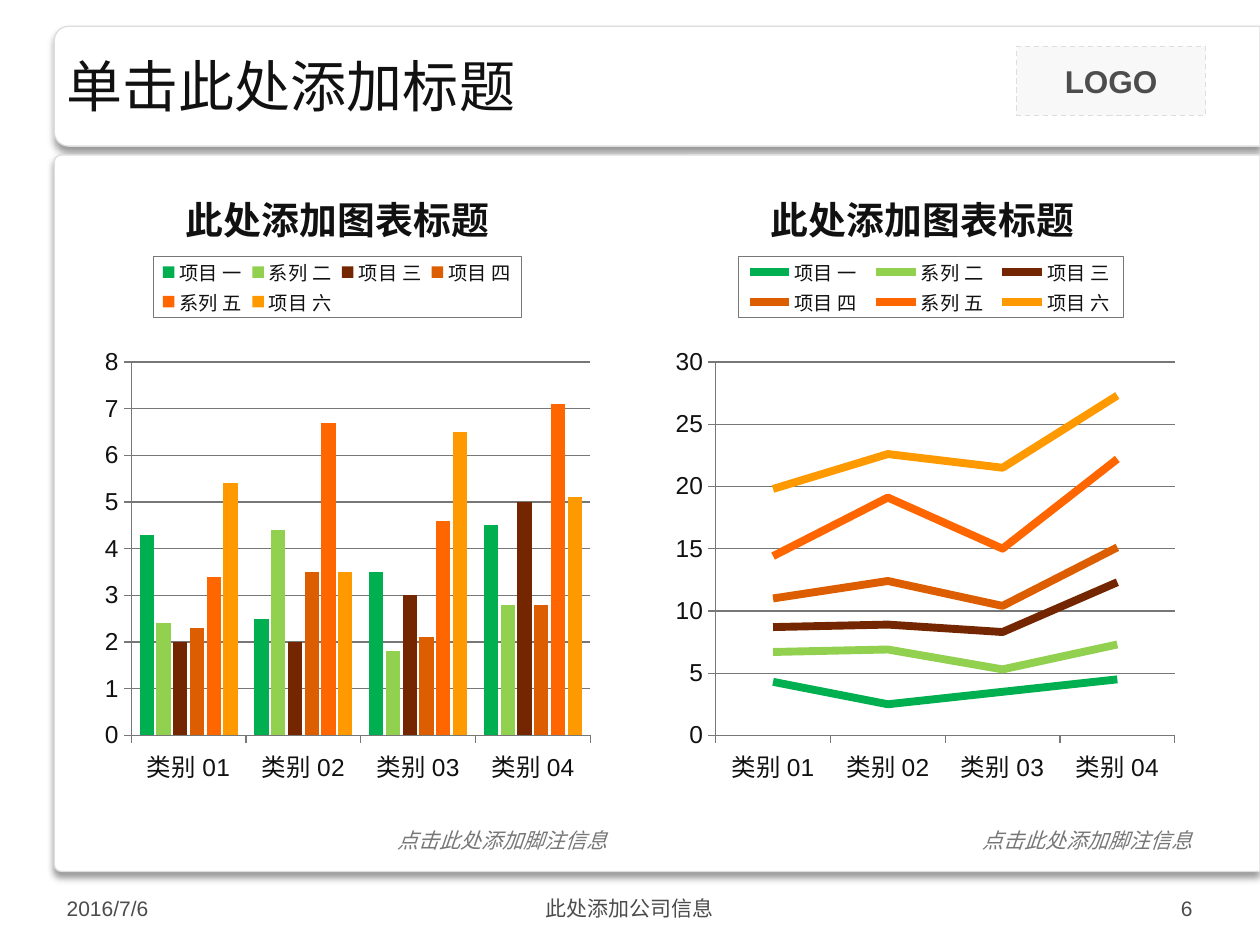
"""Build a title slide body with a clustered column chart beside a stacked line chart."""
from lxml import etree
from pptx import Presentation
from pptx.chart.data import CategoryChartData
from pptx.dml.color import RGBColor
from pptx.enum.chart import XL_CHART_TYPE, XL_LEGEND_POSITION, XL_TICK_MARK
from pptx.enum.dml import MSO_LINE
from pptx.enum.shapes import MSO_SHAPE
from pptx.enum.text import MSO_ANCHOR, MSO_AUTO_SIZE, PP_ALIGN
from pptx.oxml import parse_xml
from pptx.oxml.ns import qn
from pptx.util import Pt

COLUMN, LINE = XL_CHART_TYPE.COLUMN_CLUSTERED, XL_CHART_TYPE.LINE_STACKED
TOP, OUTSIDE = XL_LEGEND_POSITION.TOP, XL_TICK_MARK.OUTSIDE
LEFT, CENTER, RIGHT = PP_ALIGN.LEFT, PP_ALIGN.CENTER, PP_ALIGN.RIGHT
MIDDLE, ANCHOR_TOP = MSO_ANCHOR.MIDDLE, MSO_ANCHOR.TOP
DASH, FIT_TEXT = MSO_LINE.DASH, MSO_AUTO_SIZE.SHAPE_TO_FIT_TEXT
RECTANGLE, ROUNDED_SIDE = MSO_SHAPE.RECTANGLE, MSO_SHAPE.ROUND_2_SAME_RECTANGLE

WHITE = RGBColor(0xFF, 0xFF, 0xFF)
INK = RGBColor(0x11, 0x11, 0x11)
AXIS_GRAY = RGBColor(0x77, 0x77, 0x77)
FOOTER_GRAY = RGBColor(0x4C, 0x4C, 0x4C)
LOGO_GRAY = RGBColor(0x4D, 0x4D, 0x4D)
BORDER = RGBColor(0xDD, 0xDD, 0xDD)
LOGO_FILL = RGBColor(0xF8, 0xF8, 0xF8)

TITLE = "单击此处添加标题"
CHART_TITLE = "此处添加图表标题"
FOOTNOTE = "点击此处添加脚注信息"
CATEGORIES = ["类别 01", "类别 02", "类别 03", "类别 04"]
SERIES = [
    ("项目 一", (4.3, 2.5, 3.5, 4.5), RGBColor(0x00, 0xB0, 0x50)),
    ("系列 二", (2.4, 4.4, 1.8, 2.8), RGBColor(0x92, 0xD0, 0x50)),
    ("项目 三", (2, 2, 3, 5), RGBColor(0x74, 0x26, 0x00)),
    ("项目 四", (2.3, 3.5, 2.1, 2.8), RGBColor(0xDC, 0x5E, 0x01)),
    ("系列 五", (3.4, 6.7, 4.6, 7.1), RGBColor(0xFF, 0x66, 0x00)),
    ("项目 六", (5.4, 3.5, 6.5, 5.1), RGBColor(0xFF, 0x99, 0x00)),
]
FOOTERS = [
    ("2016/7/6", 31, 168, LEFT),
    ("此处添加公司信息", 246, 228, CENTER),
    ("6", 520.5, 168, RIGHT),
]
PANELS = [(15, 68.5, 0.12), (88.5, 409.5, 0.01)]
CHARTS = [(COLUMN, 31, 65), (LINE, 365, 68)]

SLIDE_W, SLIDE_H, MARGIN = 720, 540, 31
CHART_W, CHART_H, CHART_TOP = 323.5, 374.5, 94.5
FOOTNOTE_W = 135.5
C_NS = "http://schemas.openxmlformats.org/drawingml/2006/chart"
A_NS = "http://schemas.openxmlformats.org/drawingml/2006/main"
SHADOW = (
    f'<a:effectLst xmlns:a="{A_NS}"><a:outerShdw blurRad="50800" dist="38100" dir="5400000" '
    'algn="t" rotWithShape="0"><a:srgbClr val="000000"><a:alpha val="40000"/></a:srgbClr>'
    '</a:outerShdw></a:effectLst>'
)
LEGEND_BORDER = (
    f'<c:spPr xmlns:c="{C_NS}" xmlns:a="{A_NS}"><a:ln w="3175"><a:solidFill>'
    f'<a:srgbClr val="{AXIS_GRAY}"/></a:solidFill></a:ln></c:spPr>'
)


def style_font(font, size, color, name="Arial", bold=False, italic=False):
    font.size, font.name, font.bold, font.italic = Pt(size), name, bold, italic
    font.color.rgb = color


def style_line(line, color, width=0.75):
    line.color.rgb = color
    line.width = Pt(width)


def write(shape, text, align, anchor, size, color, **font_style):
    frame = shape.text_frame
    frame.text = text
    frame.vertical_anchor = anchor
    paragraph = frame.paragraphs[0]
    paragraph.alignment = align
    style_font(paragraph.runs[0].font, size, color, **font_style)
    return frame


def add_panel(slide, top, height, corner):
    width = SLIDE_W - MARGIN
    panel = slide.shapes.add_shape(
        ROUNDED_SIDE,
        Pt(MARGIN + (width - height) / 2), Pt(top + (height - width) / 2), Pt(height), Pt(width))
    panel.rotation = 270
    panel.adjustments[0], panel.adjustments[1] = corner, 0
    panel.fill.solid()
    panel.fill.fore_color.rgb = WHITE
    style_line(panel.line, BORDER)
    panel.line._get_or_add_ln().addnext(parse_xml(SHADOW))


def add_logo_box(slide):
    box = slide.shapes.add_shape(RECTANGLE, Pt(581), Pt(26.5), Pt(108), Pt(39.5))
    box.shadow.inherit = False
    box.fill.solid()
    box.fill.fore_color.rgb = LOGO_FILL
    style_line(box.line, BORDER)
    box.line.dash_style = DASH
    write(box, "LOGO", CENTER, MIDDLE, 18, LOGO_GRAY, bold=True)


def place(parent, predecessor, percents, inner=False):
    """Lay out a chart part by its x, y and optional w, h in percent of the chart."""
    for old in parent.findall(qn("c:layout")):
        parent.remove(old)
    layout = etree.Element(qn("c:layout"))
    manual = etree.SubElement(layout, qn("c:manualLayout"))
    settings = [("layoutTarget", "inner")] if inner else []
    settings += [("xMode", "edge"), ("yMode", "edge")]
    settings += [(side, str(percent / 100)) for side, percent in zip("xywh", percents)]
    for tag, value in settings:
        etree.SubElement(manual, qn(f"c:{tag}")).set("val", value)
    if predecessor is None:
        parent.insert(0, layout)
    else:
        predecessor.addnext(layout)


def add_chart(slide, kind, left, legend_width):
    data = CategoryChartData()
    data.categories = CATEGORIES
    for name, values, _ in SERIES:
        data.add_series(name, values)
    chart = slide.shapes.add_chart(
        kind, Pt(left), Pt(CHART_TOP), Pt(CHART_W), Pt(CHART_H), data).chart
    style_font(chart.font, 18, INK)

    chart.has_title = True
    heading = chart.chart_title.text_frame
    heading.text = CHART_TITLE
    style_font(heading.paragraphs[0].runs[0].font, 21.6, INK, bold=True)
    title = chart.chart_title._element
    place(title, title.find(qn("c:tx")), (22, 2))

    chart.has_legend = True
    chart.legend.position = TOP
    chart.legend.include_in_layout = False
    style_font(chart.legend.font, 11, INK)
    legend = chart.legend._element
    place(legend, legend.find(qn("c:legendPos")), (17.5, 13.9, legend_width, 9.3))
    legend.find(qn("c:overlay")).addnext(parse_xml(LEGEND_BORDER))
    place(chart._chartSpace.chart.plotArea, None, (13.6, 30, 81.1, 57), inner=True)

    for axis in (chart.category_axis, chart.value_axis):
        axis.major_tick_mark = OUTSIDE
        style_font(axis.tick_labels.font, 14, INK)
        style_line(axis.format.line, AXIS_GRAY)
    chart.value_axis.has_major_gridlines = True
    style_line(chart.value_axis.major_gridlines.format.line, AXIS_GRAY)

    plot = chart.plots[0]
    plot.vary_by_categories = False
    if kind == COLUMN:
        plot.gap_width, plot.overlap = 117, -18
    for series, (_, _, color) in zip(plot.series, SERIES):
        if kind == COLUMN:
            series.format.fill.solid()
            series.format.fill.fore_color.rgb = color
        else:
            series.smooth = False
            style_line(series.format.line, color, 4.5)


def main():
    deck = Presentation()
    deck.slide_width, deck.slide_height = Pt(SLIDE_W), Pt(SLIDE_H)
    slide = deck.slides.add_slide(deck.slide_layouts[5])
    for panel in PANELS:
        add_panel(slide, *panel)
    add_logo_box(slide)

    title = slide.shapes.title
    title.left, title.top, title.width, title.height = Pt(MARGIN), Pt(20), Pt(658), Pt(57)
    write(title, TITLE, LEFT, MIDDLE, 32, INK, name="Montserrat")
    slide.shapes._spTree.append(title._element)

    for text, left, width, align in FOOTERS:
        footer = slide.shapes.add_textbox(Pt(left), Pt(508.5), Pt(width), Pt(21))
        write(footer, text, align, MIDDLE, 12, FOOTER_GRAY).word_wrap = True

    for kind, left, legend_width in CHARTS:
        footnote = slide.shapes.add_textbox(
            Pt(left + CHART_W - FOOTNOTE_W), Pt(469.5), Pt(FOOTNOTE_W), Pt(21.5))
        frame = write(footnote, FOOTNOTE, RIGHT, ANCHOR_TOP, 12, AXIS_GRAY, italic=True)
        frame.word_wrap = False
        frame.auto_size = FIT_TEXT
        add_chart(slide, kind, left, legend_width)

    deck.save("out.pptx")


if __name__ == "__main__":
    main()
